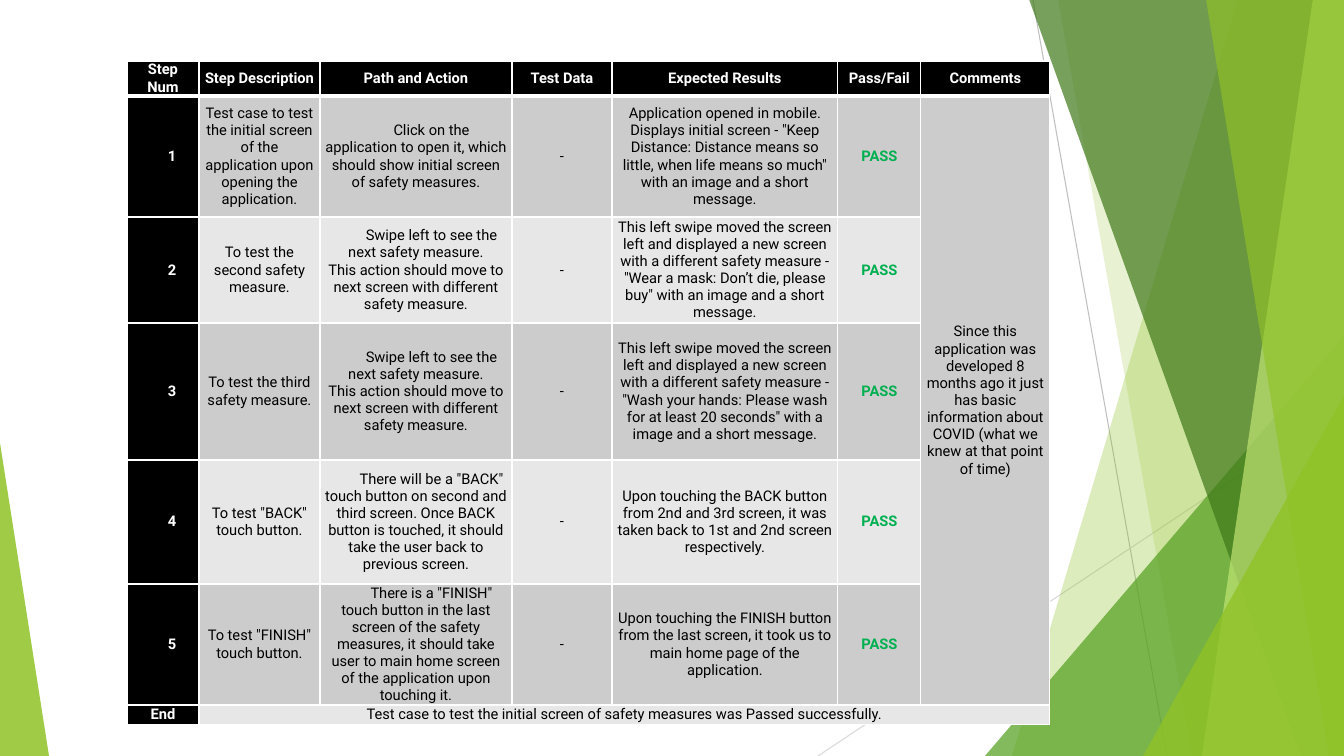
from lxml.etree import SubElement
from pptx import Presentation
from pptx.dml.color import RGBColor
from pptx.enum.shapes import MSO_CONNECTOR, MSO_SHAPE
from pptx.enum.text import MSO_ANCHOR, PP_ALIGN
from pptx.oxml import parse_xml
from pptx.oxml.ns import nsdecls, qn
from pptx.util import Pt

PX = 9144000 / 1008
WIDTH, HEIGHT = 1344, 756
COLORS = {
    "lime": "90C226", "green": "54A021", "forest": "3F7819", "pale": "C0E474",
    "gray line": "BFBFBF", "light line": "D9D9D9", "black": "000000",
    "white": "FFFFFF", "dark band": "CCCCCC", "light band": "E7E7E7", "pass": "00B050",
}


def emu(px):
    return round(px * PX)


def color(name):
    return RGBColor.from_string(COLORS[name])


prs = Presentation()
prs.slide_width, prs.slide_height = emu(WIDTH), emu(HEIGHT)
slide = prs.slides.add_slide(prs.slide_layouts[6])
shapes = slide.shapes

# Thin background lines
for x1, y1, x2, y2, line in [
    (1033, 0, 1167, HEIGHT, "gray line"),
    (WIDTH, 406, 818, HEIGHT, "light line"),
]:
    cx = shapes.add_connector(MSO_CONNECTOR.STRAIGHT, emu(x1), emu(y1), emu(x2), emu(y2))
    cx.line.color.rgb = color(line)
    cx.line.width = Pt(0.75)
    SubElement(cx._element.spPr, qn("a:effectLst"))

# Bands give their left edge (top x, bottom x) and run to the right side of the slide;
# triangles give left, top, width, height and apex position
facets = [
    ("band", (1238, 1012), "lime", 30),
    ("band", (1058, 1192), "lime", 20),
    ("triangle", (985, 336, 359, 420, 1), "green", 72),
    ("band", (1029, 1301), "forest", 70),
    ("band", (1313, 1202), "pale", 70),
    ("band", (1206, 1329), "lime", 65),
    ("triangle", (1143, 396, 201, 360, 1), "lime", 80),
    ("triangle", (0, 443, 49, 313, 0), "lime", 85),
]
for kind, place, fill, opacity in facets:
    if kind == "band":
        top_x, bottom_x = place
        builder = shapes.build_freeform(top_x, -1, PX)
        builder.add_line_segments([(WIDTH, -1), (WIDTH, HEIGHT), (bottom_x, HEIGHT)])
        sp = builder.convert_to_shape()
    else:
        *box, apex = place
        sp = shapes.add_shape(MSO_SHAPE.ISOSCELES_TRIANGLE, *map(emu, box))
        sp.adjustments[0] = apex
    sp.shadow.inherit = False
    sp.line.fill.background()
    sp.fill.solid()
    sp.fill.fore_color.rgb = color(fill)
    srgb = sp._element.spPr.find(qn("a:solidFill"))[0]
    SubElement(srgb, qn("a:alpha")).set("val", str(opacity * 1000))

# Test case table
swipe = ("Swipe left to see the next safety measure.\n"
         "This action should move to next screen with different safety measure.")
moved = ("This left swipe moved the screen left and displayed a new screen "
         "with a different safety measure - ")
steps = [
    ("Test case to test the initial screen of the application upon opening the application.",
     "Click on the application to open it, which should show initial screen of safety measures.",
     "Application opened in mobile.\nDisplays initial screen - \"Keep Distance: Distance means "
     "so little, when life means so much\" with an image and a short message."),
    ("To test the second safety measure.", swipe,
     moved + "\"Wear a mask: Don’t die, please buy\" with an image and a short message."),
    ("To test the third safety measure.", swipe,
     moved + "\"Wash your hands: Please wash for at least 20 seconds\" with a image and a "
     "short message."),
    ("To test \"BACK\" touch button.",
     "There will be a \"BACK\" touch button on second and third screen. Once BACK button is "
     "touched, it should take the user back to previous screen.",
     "Upon touching the BACK button from 2nd and 3rd screen, it was taken back to 1st and 2nd "
     "screen respectively."),
    ("To test \"FINISH\" touch button.",
     "There is a \"FINISH\" touch button in the last screen of the safety measures, it should "
     "take user to main home screen of the application upon touching it.",
     "Upon touching the FINISH button from the last screen, it took us to main home page of "
     "the application."),
]
comment = ("Since this application was developed 8 months ago it just has basic information "
           "about COVID (what we knew at that point of time)")
rows = [["Step Num", "Step Description", "Path and Action", "Test Data",
         "Expected Results", "Pass/Fail", "Comments"]]
for number, (description, action, expected) in enumerate(steps, 1):
    rows.append([str(number), description, action, "-", expected, "PASS",
                 comment if number == 1 else ""])
rows.append(["End", "Test case to test the initial screen of safety measures was Passed "
             "successfully."] + [""] * 5)

col_widths = [72, 121, 192, 100, 226, 83, 129]
row_heights = [35, 121, 106, 137, 124, 121, 20]
last = len(rows) - 1
table = shapes.add_table(len(rows), len(col_widths), emu(127), emu(61),
                         emu(sum(col_widths)), emu(sum(row_heights))).table
for col, width in zip(table.columns, col_widths):
    col.width = emu(width)
for row, height in zip(table.rows, row_heights):
    row.height = emu(height)
table.cell(1, 6).merge(table.cell(last - 1, 6))
table.cell(last, 1).merge(table.cell(last, 6))

for i, texts in enumerate(rows):
    for j, text in enumerate(texts):
        cell = table.cell(i, j)
        heading = i == 0 or j == 0
        passed = text == "PASS"
        band = "dark band" if i % 2 or j == 6 else "light band"
        if i == last:
            band = "light band"
        cell.fill.solid()
        cell.fill.fore_color.rgb = color("black" if heading else band)
        cell.vertical_anchor = MSO_ANCHOR.MIDDLE
        cell.margin_left = cell.margin_right = emu(5)
        cell.margin_top = cell.margin_bottom = 0
        for k, side in enumerate(["lnL", "lnR", "lnT", "lnB"]):
            thick = (i, side) in [(0, "lnB"), (1, "lnT")]
            cell._tc.tcPr.insert(k, parse_xml(
                f'<a:{side} {nsdecls("a")} w="{Pt(3 if thick else 1)}"><a:solidFill>'
                f'<a:srgbClr val="{COLORS["white"]}"/></a:solidFill></a:{side}>'))
        p = cell.text_frame.paragraphs[0]
        p.text = text
        p.alignment = PP_ALIGN.CENTER
        if 0 < i < last and j in (0, 2):
            p._p.get_or_add_pPr().set("indent", str(emu(18 if j == 0 else 31)))
        for r in p.runs:
            r.font.name = "Roboto"
            r.font.size = Pt(10.5)
            r.font.bold = heading or passed
            r.font.color.rgb = color("white" if heading else "pass" if passed else "black")

prs.save("out.pptx")
